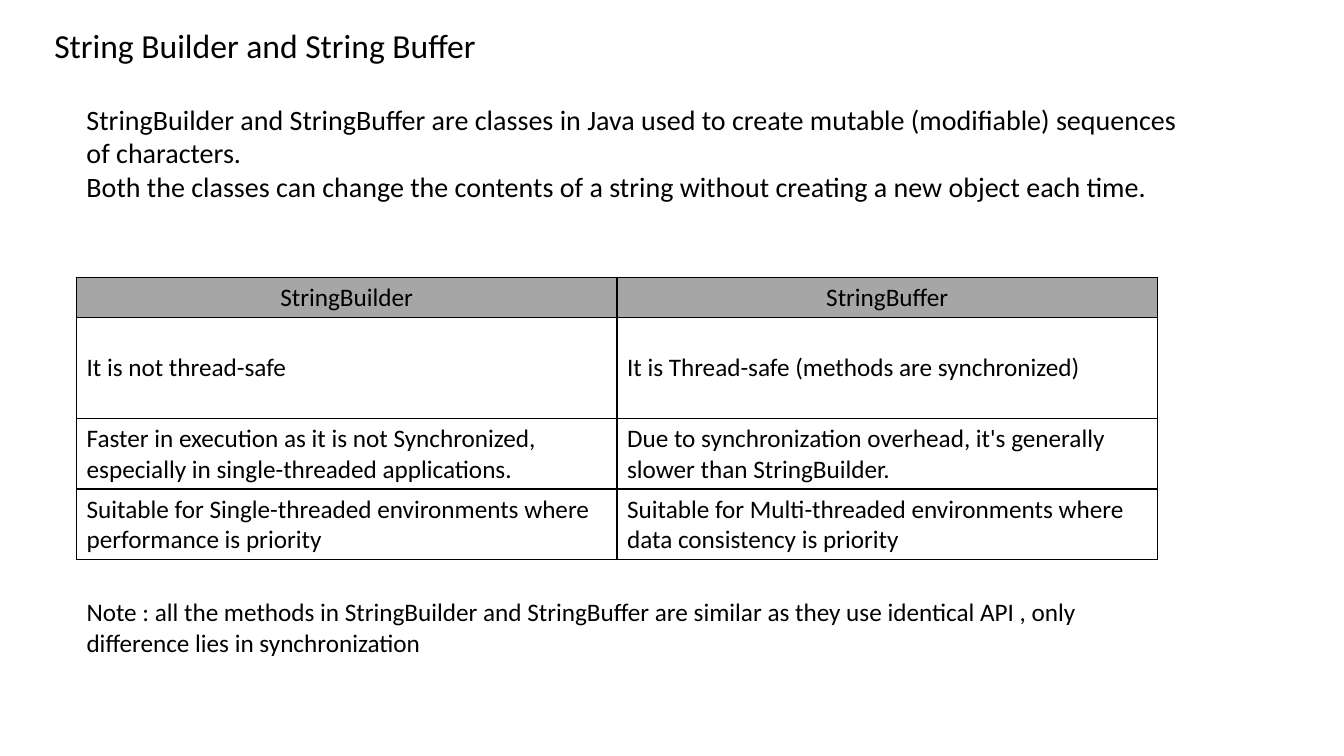
from dataclasses import dataclass

from lxml import etree
from pptx import Presentation
from pptx.dml.color import RGBColor
from pptx.enum.text import MSO_ANCHOR, MSO_AUTO_SIZE, PP_ALIGN
from pptx.oxml.ns import qn
from pptx.util import Emu, Pt

TOP, MIDDLE = MSO_ANCHOR.TOP, MSO_ANCHOR.MIDDLE
LEFT, CENTER = PP_ALIGN.LEFT, PP_ALIGN.CENTER
GROW = MSO_AUTO_SIZE.SHAPE_TO_FIT_TEXT

EMU_PER_PX = 9144  # 100 px to the inch
FONT = "Calibri"
COLORS = {"ink": "000000", "header": "A6A6A6"}


@dataclass(frozen=True)
class TextBlock:
    left: int
    top: int
    width: int
    height: int
    size: int
    lines: tuple[str, ...]
    anchor: MSO_ANCHOR = TOP
    wrap: bool = True


@dataclass(frozen=True)
class ComparisonRow:
    height: int
    builder: str
    buffer: str


TEXT_BLOCKS = (
    TextBlock(44, 20, 450, 50, 24, ("String Builder and String Buffer",), wrap=False),
    TextBlock(76, 96, 1117, 111, 20, (
        "StringBuilder and StringBuffer are classes in Java used to create mutable "
        "(modifiable) sequences of characters.",
        "Both the classes can change the contents of a string without creating "
        "a new object each time.",
    ), anchor=MIDDLE),
    TextBlock(76, 587, 1072, 71, 18, (
        "Note : all the methods in StringBuilder and StringBuffer are similar as they "
        "use identical API , only difference lies in synchronization",
    )),
)

COMPARISON_LEFT, COMPARISON_TOP, COLUMN_WIDTH = 76, 275, 536
COMPARISON = (
    ComparisonRow(40, "StringBuilder", "StringBuffer"),
    ComparisonRow(100, "It is not thread-safe",
                  "It is Thread-safe (methods are synchronized)"),
    ComparisonRow(70, "Faster in execution as it is not Synchronized, especially in "
                      "single-threaded applications.",
                  "Due to synchronization overhead, it's generally slower than "
                  "StringBuilder."),
    ComparisonRow(70, "Suitable for Single-threaded environments where performance "
                      "is priority",
                  "Suitable for Multi-threaded environments where data consistency "
                  "is priority"),
)


def px(length: int) -> Emu:
    return Emu(length * EMU_PER_PX)


def style_paragraph(paragraph, size: int, align: PP_ALIGN = LEFT) -> None:
    paragraph.alignment = align
    paragraph.font.name = FONT
    paragraph.font.size = Pt(size)
    paragraph.font.color.rgb = RGBColor.from_string(COLORS["ink"])


def draw_text(slide, block: TextBlock) -> None:
    box = slide.shapes.add_textbox(
        px(block.left), px(block.top), px(block.width), px(block.height))
    frame = box.text_frame
    frame.word_wrap = block.wrap
    frame.auto_size = GROW
    frame.vertical_anchor = block.anchor
    frame.text = "\n".join(block.lines)
    for paragraph in frame.paragraphs:
        style_paragraph(paragraph, block.size)


def add_borders(cell) -> None:
    properties = cell._tc.get_or_add_tcPr()
    for side in ("a:lnL", "a:lnR", "a:lnT", "a:lnB"):
        line = etree.SubElement(properties, qn(side), w=str(Pt(1)))
        fill = etree.SubElement(line, qn("a:solidFill"))
        etree.SubElement(fill, qn("a:srgbClr"), val=COLORS["ink"])


def draw_comparison(slide, rows: tuple[ComparisonRow, ...]) -> None:
    table = slide.shapes.add_table(
        len(rows), 2, px(COMPARISON_LEFT), px(COMPARISON_TOP),
        px(2 * COLUMN_WIDTH), px(sum(row.height for row in rows))).table
    table.first_row = False
    table.horz_banding = False
    for column in table.columns:
        column.width = px(COLUMN_WIDTH)
    for row_index, row in enumerate(rows):
        is_header = row_index == 0
        table.rows[row_index].height = px(row.height)
        for column_index, text in enumerate((row.builder, row.buffer)):
            cell = table.cell(row_index, column_index)
            cell.text = text
            cell.vertical_anchor = MIDDLE
            style_paragraph(cell.text_frame.paragraphs[0], 18,
                            CENTER if is_header else LEFT)
            add_borders(cell)
            if is_header:
                cell.fill.solid()
                cell.fill.fore_color.rgb = RGBColor.from_string(COLORS["header"])
            else:
                cell.fill.background()


def main() -> None:
    presentation = Presentation()
    presentation.slide_width, presentation.slide_height = px(1333), px(750)
    slide = presentation.slides.add_slide(presentation.slide_layouts[6])

    # Title, introduction and closing note
    for block in TEXT_BLOCKS:
        draw_text(slide, block)

    # Comparison of the two classes
    draw_comparison(slide, COMPARISON)

    presentation.save("out.pptx")


if __name__ == "__main__":
    main()
